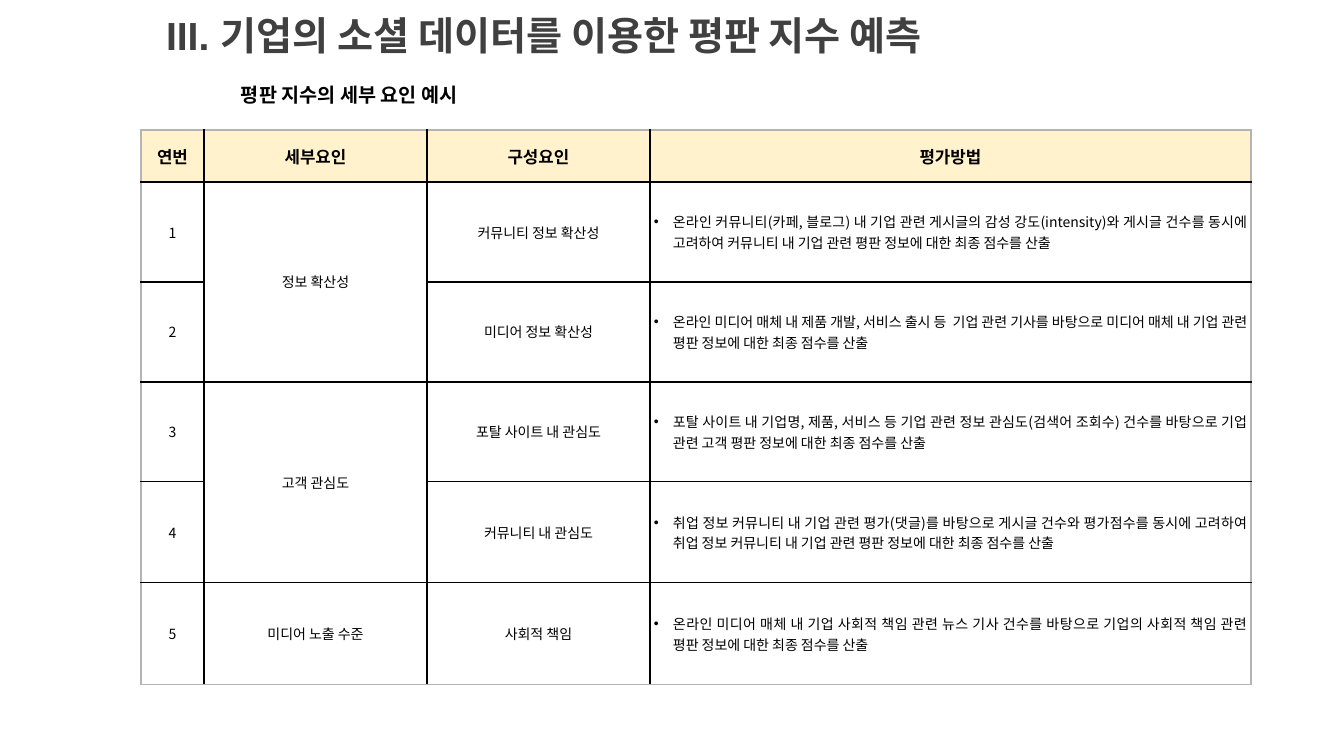
"""Build the slide on detailed factors of the reputation index."""
from dataclasses import dataclass
from typing import Any

from lxml import etree
from pptx import Presentation
from pptx import util as u
from pptx.dml.color import RGBColor
from pptx.enum import text
from pptx.oxml import ns

PX = 914400 / 100.8
COLORS = {"head": "FFF2CC", "body": "FFFFFF", "ink": "000000",
          "title": "404040", "grid": "000000", "frame": "B4B4B4"}
CJK = "Noto Sans CJK KR"
CENTER, JUSTIFY, LEFT = (text.PP_ALIGN.CENTER, text.PP_ALIGN.JUSTIFY,
                         text.PP_ALIGN.LEFT)
COLS = (63, 223, 223, 601)
ROWS = (52, 100, 100, 100, 101, 102)
HEADERS = ("연번", "세부요인", "구성요인", "평가방법")


@dataclass(frozen=True)
class Factor:
    """One row of the table; an empty group continues the one above."""
    group: str
    component: str
    method: str


@dataclass(frozen=True)
class Style:
    """Font settings of a run."""
    size: int
    bold: bool
    color: str = "ink"
    face: str = CJK


FACTORS = (
    Factor("정보 확산성", "커뮤니티 정보 확산성",
           "온라인 커뮤니티(카페, 블로그) 내 기업 관련 게시글의 감성 강도(intensity)와 게시글 건수를 "
           "동시에 고려하여 커뮤니티 내 기업 관련 평판 정보에 대한 최종 점수를 산출"),
    Factor("", "미디어 정보 확산성",
           "온라인 미디어 매체 내 제품 개발, 서비스 출시 등  기업 관련 기사를 바탕으로 미디어 매체 내 기업 "
           "관련 평판 정보에 대한 최종 점수를 산출"),
    Factor("고객 관심도", "포탈 사이트 내 관심도",
           "포탈 사이트 내 기업명, 제품, 서비스 등 기업 관련 정보 관심도(검색어 조회수) 건수를 바탕으로 "
           "기업 관련 고객 평판 정보에 대한 최종 점수를 산출"),
    Factor("", "커뮤니티 내 관심도",
           "취업 정보 커뮤니티 내 기업 관련 평가(댓글)를 바탕으로 게시글 건수와 평가점수를 동시에 "
           "고려하여 취업 정보 커뮤니티 내 기업 관련 평판 정보에 대한 최종 점수를 산출"),
    Factor("미디어 노출 수준", "사회적 책임",
           "온라인 미디어 매체 내 기업 사회적 책임 관련 뉴스 기사 건수를 바탕으로 기업의 사회적 책임 관련 "
           "평판 정보에 대한 최종 점수를 산출"),
)


def emu(px: float) -> int:
    """Turn px into EMU."""
    return u.Emu(round(px * PX))


def assign(obj: Any, values: dict[str, Any]) -> None:
    """Set attributes from a dict."""
    for name, value in values.items():
        setattr(obj, name, value)


def rgb(key: str) -> RGBColor:
    """Look up a named colour."""
    return RGBColor.from_string(COLORS[key])


def write(tf: Any, words: str, style: Style, align: Any) -> Any:
    """Write one styled paragraph and return it."""
    p = tf.paragraphs[0]
    p.alignment = align
    r = p.add_run()
    r.text = words
    assign(r.font, {"size": u.Pt(style.size), "bold": style.bold,
                    "name": style.face})
    r.font.color.rgb = rgb(style.color)
    ea = etree.SubElement(r.font._element, ns.qn("a:ea"))
    ea.set("typeface", CJK)
    return p


def indent(p: Any, left: int, first: int, bullet: str = "") -> None:
    """Indent a paragraph and give it an optional bullet."""
    pPr = p._p.get_or_add_pPr()
    pPr.set("marL", str(emu(left)))
    pPr.set("indent", str(emu(first)))
    if bullet:
        etree.SubElement(pPr, ns.qn("a:buFont")).set("typeface", "Arial")
        etree.SubElement(pPr, ns.qn("a:buChar")).set("char", bullet)


def border(cell: Any, row: int, col: int) -> None:
    """Draw black inner lines and a grey outer frame."""
    outer = {"L": col == 0, "R": col == len(COLS) - 1,
             "T": row == 0, "B": row + cell.span_height == len(ROWS)}
    tcPr = cell._tc.get_or_add_tcPr()
    for i, (side, edge) in enumerate(outer.items()):
        ln = etree.Element(ns.qn(f"a:ln{side}"), w=str(u.Pt(1)))
        fill = etree.SubElement(ln, ns.qn("a:solidFill"))
        color = etree.SubElement(fill, ns.qn("a:srgbClr"))
        color.set("val", COLORS["frame" if edge else "grid"])
        tcPr.insert(i, ln)


def add_factors(s: Any) -> None:
    """Add the factor table."""
    table = s.shapes.add_table(len(ROWS), len(COLS), emu(141), emu(130),
                               emu(sum(COLS)), emu(sum(ROWS))).table
    assign(table, {"first_row": False, "horz_banding": False})
    for column, width in zip(table.columns, COLS):
        column.width = emu(width)
    for line, height in zip(table.rows, ROWS):
        line.height = emu(height)
    for i, factor in enumerate(FACTORS, 1):
        if not factor.group:
            table.cell(i - 1, 1).merge(table.cell(i, 1))
    body = [(str(i), f.group, f.component, f.method)
            for i, f in enumerate(FACTORS, 1)]
    for row, words in enumerate([HEADERS, *body]):
        head = row == 0
        for col, word in enumerate(words):
            cell = table.cell(row, col)
            assign(cell, {f"margin_{side}": emu(4)
                          for side in ("left", "right", "top", "bottom")})
            cell.vertical_anchor = text.MSO_ANCHOR.MIDDLE
            cell.fill.solid()
            cell.fill.fore_color.rgb = rgb("head" if head else "body")
            border(cell, row, col)
            if not word:
                continue
            bulleted = col == 3 and not head
            p = write(cell.text_frame, word, Style(12 if head else 10, head),
                      JUSTIFY if bulleted else CENTER)
            if bulleted:
                indent(p, 19, -19, "•")


def main() -> None:
    """Build and save the slide."""
    prs = Presentation()
    assign(prs, {"slide_width": emu(1344), "slide_height": emu(756)})
    s = prs.slides.add_slide(prs.slide_layouts[5])

    title = s.shapes.title
    assign(title, {"left": emu(166), "top": emu(14),
                   "width": emu(955), "height": emu(42)})
    flush = {"margin_left": 0, "margin_right": 0,
             "margin_top": 0, "margin_bottom": 0, "word_wrap": True,
             "auto_size": text.MSO_AUTO_SIZE.NONE}
    assign(title.text_frame, {**flush,
                              "vertical_anchor": text.MSO_ANCHOR.MIDDLE})
    write(title.text_frame, "III. 기업의 소셜 데이터를 이용한 평판 지수 예측",
          Style(28, True, "title", "Arial"), LEFT)

    add_factors(s)

    sp = s.shapes.add_textbox(emu(51), emu(76), emu(1292), emu(27))
    assign(sp.text_frame, {**flush, "margin_left": emu(10),
                           "margin_right": emu(10)})
    p = write(sp.text_frame, "평판 지수의 세부 요인 예시",
              Style(14, True, face="Arial"), LEFT)
    p.line_spacing = 1.3
    indent(p, 180, 0)
    prs.save("out.pptx")


if __name__ == "__main__":
    main()
